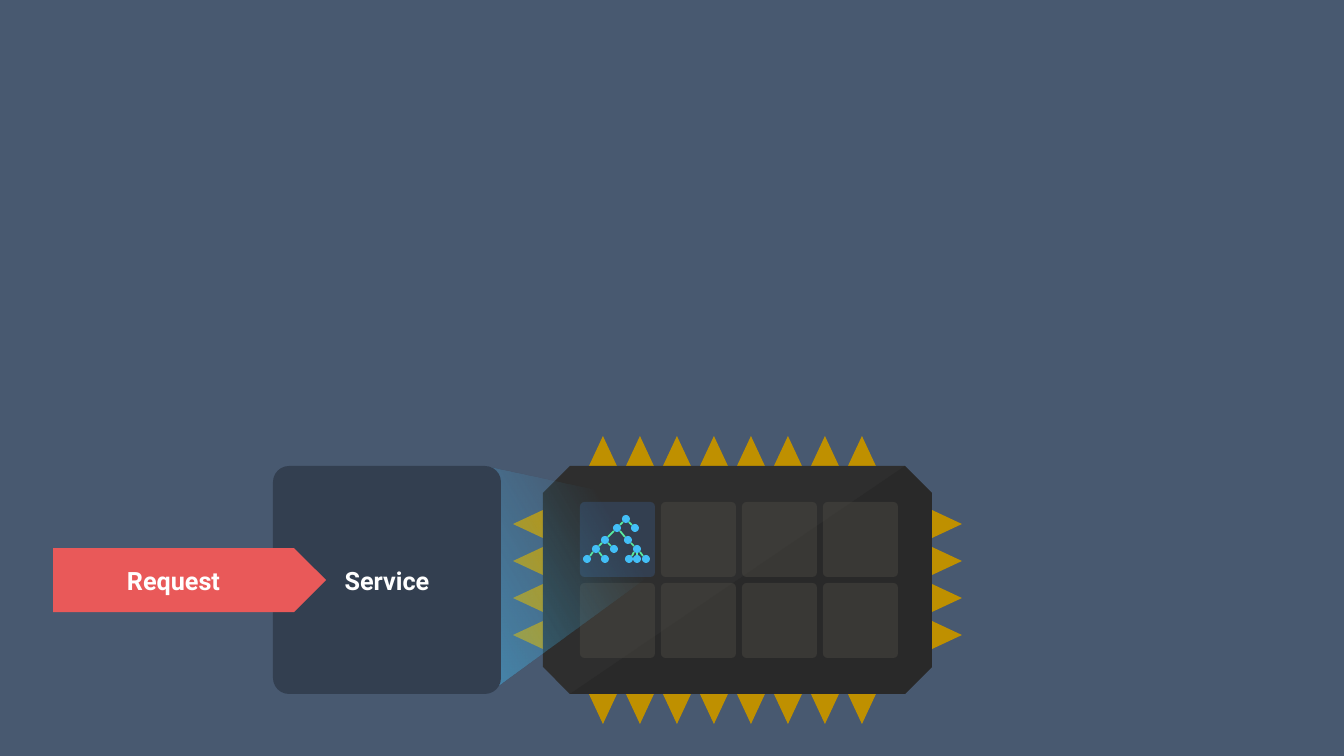
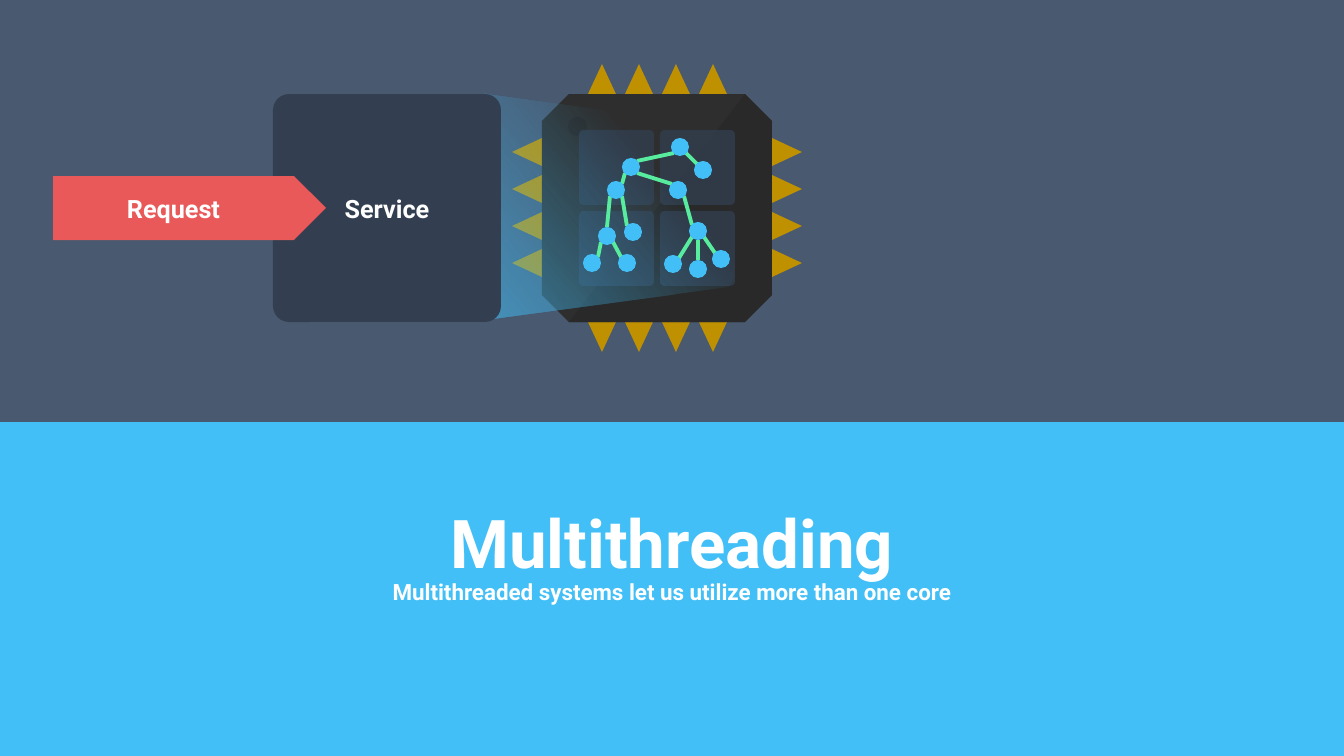
from dataclasses import dataclass
from itertools import product

from lxml.etree import SubElement
from pptx import Presentation
from pptx.dml.color import RGBColor
from pptx.enum.shapes import MSO_CONNECTOR, MSO_SHAPE
from pptx.enum.text import MSO_ANCHOR, MSO_AUTO_SIZE, PP_ALIGN
from pptx.oxml.ns import qn
from pptx.util import Emu, Pt

PAGE_WIDTH, PAGE_HEIGHT = 1344, 756
SCALE = 12192000 / PAGE_WIDTH
TITLE_ONLY, BLANK = 5, 6


@dataclass(frozen=True)
class Theme:
    font: str = "Roboto"
    backdrop: str = "485970"
    sky: str = "43BFF7"
    navy: str = "333F50"
    gold: str = "BF9000"
    case: str = "2E2E2E"
    shade: str = "292929"
    idle: str = "4D4B44"
    coral: str = "E95959"
    branch: str = "58EC9F"
    white: str = "FFFFFF"
    title_size: int = 48
    label_size: int = 18
    subtitle_size: int = 16


THEME = Theme()

CHIP_HEIGHT = 228
CHIP_CUT = 27
SPIKE_LENGTH, SPIKE_HALF, SPIKE_PITCH = 30, 14, 37
CORE_SIZE, CORE_PITCH = 75, 81

TREE_EDGES = [(0, 1), (0, 2), (1, 3), (1, 4), (3, 5), (3, 6), (4, 7),
              (5, 8), (5, 9), (7, 10), (7, 11), (7, 12)]
SMALL_TREE = [(626, 519), (617, 528), (635, 528), (605, 540), (628, 540),
              (596, 549), (614, 549), (637, 549), (587, 559), (605, 559),
              (629, 559), (637, 559), (646, 559)]
LARGE_TREE = [(680, 147), (631, 167), (703, 170), (616, 190), (678, 190),
              (607, 236), (633, 232), (698, 231), (592, 263), (627, 263),
              (673, 264), (698, 269), (721, 259)]


def px(length):
    return Emu(round(length * SCALE))


def color(name):
    return RGBColor.from_string(name)


def paint(shape, fill):
    shape.shadow.inherit = False
    shape.line.fill.background()
    shape.fill.solid()
    shape.fill.fore_color.rgb = color(fill)


def set_opacity(shape, *percents):
    for element, percent in zip(shape.element.spPr.iter(qn("a:srgbClr")), percents):
        SubElement(element, qn("a:alpha"), val=str(percent * 1000))


def add_preset(page, kind, box, fill, *adjustments):
    shape = page.shapes.add_shape(kind, *map(px, box))
    paint(shape, fill)
    for index, value in enumerate(adjustments):
        shape.adjustments[index] = value
    return shape


def add_outline(page, contours, fill):
    first, *others = contours
    builder = page.shapes.build_freeform(*first[0], scale=SCALE)
    builder.add_line_segments(first[1:], close=True)
    for contour in others:
        builder.move_to(*contour[0])
        builder.add_line_segments(contour[1:], close=True)
    shape = builder.convert_to_shape()
    paint(shape, fill)
    return shape


def write(frame, text, size, anchor=MSO_ANCHOR.MIDDLE):
    frame.word_wrap = True
    frame.auto_size = MSO_AUTO_SIZE.NONE
    frame.vertical_anchor = anchor
    frame.text = text
    para = frame.paragraphs[0]
    para.alignment = PP_ALIGN.CENTER
    para.line_spacing = 1.0
    para.font.name = THEME.font
    para.font.size = Pt(size)
    para.font.bold = True
    para.font.color.rgb = color(THEME.white)


def add_case(page, left, top, width, columns):
    right, bottom = left + width, top + CHIP_HEIGHT
    spikes = []
    for column in range(columns):
        x = left + 60 + column * SPIKE_PITCH
        for base, tip in ((top, top - SPIKE_LENGTH), (bottom, bottom + SPIKE_LENGTH)):
            spikes.append([(x - SPIKE_HALF, base), (x, tip), (x + SPIKE_HALF, base)])
    for row in range(4):
        y = top + 58 + row * SPIKE_PITCH
        for base, tip in ((left, left - SPIKE_LENGTH), (right, right + SPIKE_LENGTH)):
            spikes.append([(base, y - SPIKE_HALF), (tip, y), (base, y + SPIKE_HALF)])
    add_outline(page, spikes, THEME.gold)
    add_preset(page, MSO_SHAPE.OCTAGON, (left, top, width, CHIP_HEIGHT),
               THEME.case, CHIP_CUT / CHIP_HEIGHT)
    facet = [(left + CHIP_CUT, bottom), (right - CHIP_CUT, top),
             (right, top + CHIP_CUT), (right, bottom - CHIP_CUT),
             (right - CHIP_CUT, bottom)]
    add_outline(page, [facet], THEME.shade)


def add_cores(page, left, top, styles):
    cells = product(range(2), range(len(styles) // 2))
    for (row, column), (fill, opacity) in zip(cells, styles):
        box = (left + 37 + column * CORE_PITCH, top + 36 + row * CORE_PITCH,
               CORE_SIZE, CORE_SIZE)
        core = add_preset(page, MSO_SHAPE.ROUNDED_RECTANGLE, box, fill, 0.06)
        set_opacity(core, opacity)


def add_beam(page, points, opacity, fade_end, angle):
    beam = add_outline(page, [points], THEME.sky)
    beam.fill.gradient()
    beam.fill.gradient_angle = angle
    for stop, position in zip(beam.fill.gradient_stops, (0, fade_end)):
        stop.color.rgb = color(THEME.sky)
        stop.position = position
    set_opacity(beam, opacity, 0)


def add_service(page, top):
    service = add_preset(page, MSO_SHAPE.ROUNDED_RECTANGLE,
                         (273, top, 228, CHIP_HEIGHT), THEME.navy, 0.07)
    write(service.text_frame, "Service", THEME.label_size)
    request = add_preset(page, MSO_SHAPE.RIGHT_ARROW,
                         (53, top + 82, 273, 64), THEME.coral, 1, 0.5)
    write(request.text_frame, "Request", THEME.label_size)


def rim_offset(side, radius):
    reach = round(radius * 0.7)
    return (side * reach, reach) if side else (0, radius)


def add_branch(page, parent, child, radius, weight):
    run = child[0] - parent[0]
    side = (run > 0) - (run < 0)
    start = rim_offset(side, radius)
    end = rim_offset(side if abs(run) > radius else 0, radius)
    line = page.shapes.add_connector(
        MSO_CONNECTOR.STRAIGHT,
        px(parent[0] + start[0]), px(parent[1] + start[1]),
        px(child[0] - end[0]), px(child[1] - end[1]))
    line.line.color.rgb = color(THEME.branch)
    line.line.width = Pt(weight)
    SubElement(line.element.spPr, qn("a:effectLst"))


def add_tree(page, nodes, radius, weight):
    for parent, child in TREE_EDGES:
        add_branch(page, nodes[parent], nodes[child], radius, weight)
    for x, y in nodes:
        add_preset(page, MSO_SHAPE.OVAL,
                   (x - radius, y - radius, 2 * radius, 2 * radius), THEME.sky)


def add_title_band(page, title, subtitle):
    top = 422
    band = page.shapes.title
    band.left, band.top = px(0), px(top)
    band.width, band.height = px(PAGE_WIDTH), px(PAGE_HEIGHT - top)
    band.fill.solid()
    band.fill.fore_color.rgb = color(THEME.sky)
    write(band.text_frame, title, THEME.title_size, MSO_ANCHOR.TOP)
    band.text_frame.margin_top = px(79)
    box = page.shapes.add_textbox(px(0), px(578), px(PAGE_WIDTH), px(26))
    write(box.text_frame, subtitle, THEME.subtitle_size, MSO_ANCHOR.TOP)
    box.text_frame.margin_top = box.text_frame.margin_bottom = 0


def build_single_core(deck):
    page = deck.slides.add_slide(deck.slide_layouts[BLANK])
    left, top = 543, 466
    add_case(page, left, top, 389, 8)
    add_cores(page, left, top, [(THEME.navy, 100)] + [(THEME.idle, 46)] * 7)
    add_tree(page, SMALL_TREE, 4, 1.25)
    add_beam(page, [(487, 467), (649, 502), (653, 506), (653, 572),
                    (649, 576), (491, 692)], 45, 0.76, 30)
    add_service(page, top)


def build_multithreading(deck):
    page = deck.slides.add_slide(deck.slide_layouts[TITLE_ONLY])
    left, top = 542, 94
    add_case(page, left, top, 230, 4)
    add_preset(page, MSO_SHAPE.OVAL, (568, 117, 19, 19), THEME.shade)
    add_cores(page, left, top, [(THEME.navy, 75)] * 4)
    add_beam(page, [(485, 94), (729, 128), (735, 138), (735, 277),
                    (729, 287), (487, 320)], 56, 0.68, 40)
    add_service(page, top)
    add_tree(page, LARGE_TREE, 9, 2.75)
    add_title_band(page, "Multithreading",
                   "Multithreaded systems let us utilize more than one core")


def main():
    deck = Presentation()
    deck.slide_width, deck.slide_height = px(PAGE_WIDTH), px(PAGE_HEIGHT)
    backdrop = deck.slide_master.background.fill
    backdrop.solid()
    backdrop.fore_color.rgb = color(THEME.backdrop)
    build_single_core(deck)
    build_multithreading(deck)
    deck.save("out.pptx")


if __name__ == "__main__":
    main()
